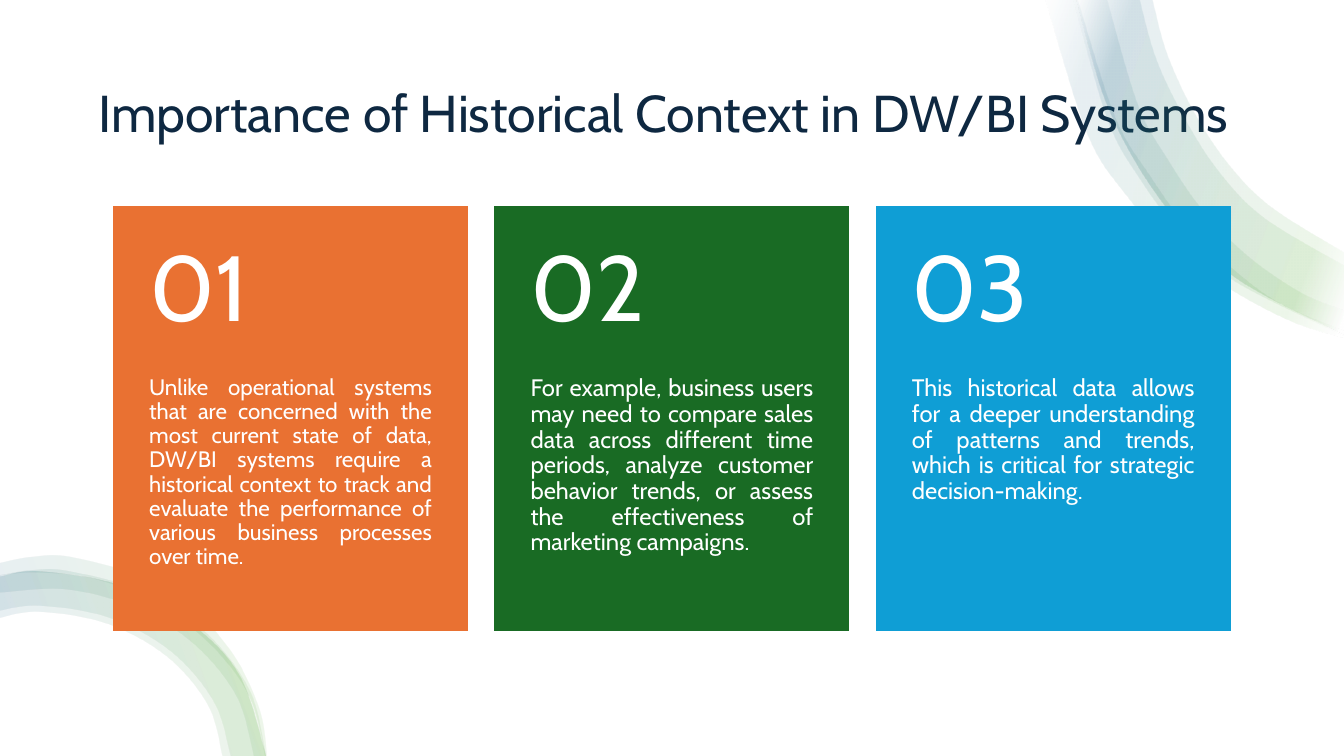
"""Build the slide on why historical context matters in DW/BI systems."""
from dataclasses import dataclass

from lxml import etree
from pptx import Presentation
from pptx.dml.color import RGBColor
from pptx.enum.shapes import MSO_SHAPE
from pptx.enum.text import MSO_ANCHOR, PP_ALIGN
from pptx.oxml.ns import qn
from pptx.shapes.autoshape import Shape
from pptx.slide import Slide
from pptx.util import Pt

RECTANGLE = MSO_SHAPE.RECTANGLE
TOP, MIDDLE = MSO_ANCHOR.TOP, MSO_ANCHOR.MIDDLE
LEFT, JUSTIFY = PP_ALIGN.LEFT, PP_ALIGN.JUSTIFY

Point = tuple[float, float]
Box = tuple[float, float, float, float]

SLIDE_WIDTH, SLIDE_HEIGHT = 960, 540
FONT = "Cabin"
WHITE, NAVY = "FFFFFF", "0E2841"

CARD_LEFT, CARD_TOP, CARD_PITCH = 81.6, 147.6, 272.4
CARD_WIDTH, CARD_HEIGHT, NUMBER_HEIGHT = 252, 302.4, 121

BAND_STOPS = ((2, WHITE), (16, "4EA72E"), (85, "156082"), (100, WHITE))
BAND_OPACITY = 10
TOP_ANGLE, BOTTOM_ANGLE = 200, 160
UNITS_PER_POINT = 100


@dataclass(frozen=True)
class Card:
    """A numbered reason with its colour and text size."""
    color: str
    size: float
    text: str


@dataclass(frozen=True)
class Band:
    """A translucent swoosh between two smooth edges."""
    angle: int
    outer: tuple[Point, ...]
    inner: tuple[Point, ...]


@dataclass(frozen=True)
class TextStyle:
    """Format of a text box; margins run left, top, right, bottom."""
    size: float
    color: str
    anchor: MSO_ANCHOR
    alignment: PP_ALIGN
    margins: Box


CARDS = (
    Card("E97132", 16, "Unlike operational systems that are concerned with the most current "
         "state of data, DW/BI systems require a historical context to track and evaluate "
         "the performance of various business processes over time."),
    Card("196B24", 17, "For example, business users may need to compare sales data across "
         "different time periods, analyze customer behavior trends, or assess the "
         "effectiveness of marketing campaigns."),
    Card("0F9ED5", 17, "This historical data allows for a deeper understanding of patterns "
         "and trends, which is critical for strategic decision-making."),
)

TOP_RIM = ((769, 0), (791.6, 77.3), (829.4, 143.7), (880.8, 197.4), (960, 239))
BOTTOM_RIM = ((0, 411.8), (28.8, 408.2), (84, 417.6), (133.3, 443.3), (170.2, 481.7),
              (189.4, 540))

BANDS = (
    Band(TOP_ANGLE,
         ((747, 0), (776.2, 94.3), (803.5, 138.2), (838.8, 176.4), (879.1, 206.6),
          (923, 229.7), (960, 241.2)),
         ((960, 236.2), (905, 211), (850.3, 163.4), (820.8, 124.6), (796.3, 82.8),
          (770, 0))),
    Band(TOP_ANGLE, TOP_RIM,
         ((960, 180.7), (908, 148.3), (877.7, 118.1), (853, 81), (833.8, 39.6), (823, 0))),
    Band(TOP_ANGLE,
         ((767, 0), (791.3, 85.7), (815, 128.9), (844.6, 167.8), (882, 201), (960, 239.8)),
         ((960, 221.8), (928.8, 208.8), (892.1, 183.6), (860.4, 151.9), (834.5, 114.5),
          (812.9, 74.9), (791, 0))),
    Band(TOP_ANGLE, TOP_RIM,
         ((960, 190), (903, 156), (871.2, 123.8), (846.5, 85.7), (825.8, 42.5), (814, 0))),
    Band(BOTTOM_ANGLE, BOTTOM_RIM,
         ((158.4, 540), (148.3, 504), (119.5, 469.4), (77, 445.7), (28.8, 437),
          (0, 441.4))),
    Band(BOTTOM_ANGLE, BOTTOM_RIM,
         ((164.2, 540), (152.6, 501.8), (122.4, 465.8), (78.5, 441.4), (28.8, 432.7),
          (0, 436.3))),
    Band(BOTTOM_ANGLE,
         ((0, 411.1), (22.3, 407.5), (49.7, 408.2), (102.2, 422.6), (146.2, 451.4),
          (177.8, 493.2), (189.4, 540)),
         ((180.7, 540), (168.5, 497.5), (138.2, 460.1), (96.5, 434.2), (48.2, 421.2),
          (0, 423.4))),
    Band(BOTTOM_ANGLE,
         ((0, 402.5), (22.3, 398.2), (51.1, 398.2), (106.6, 414), (141.1, 438.5),
          (167.8, 470.2), (185, 507.6), (190.1, 540)),
         ((188.6, 540), (180, 503.3), (162, 473.8), (133.9, 446.4), (100.1, 425.5),
          (62.6, 412.6), (23, 409), (0, 411.8))),
)


def rgb(color: str) -> RGBColor:
    """Turn a hex string into a colour."""
    return RGBColor.from_string(color)


def curve_edge(lines: list[etree._Element], knots: list[Point]) -> None:
    """Replace the straight segments between knots by Catmull-Rom curves."""
    padded = [knots[0], *knots, knots[-1]]
    for line, a, b, c, d in zip(lines, padded, padded[1:], padded[2:], padded[3:]):
        curve = etree.Element(qn("a:cubicBezTo"))
        leave = [q + (r - p) / 6 for p, q, r in zip(a, b, c)]
        reach = [r - (s - q) / 6 for q, r, s in zip(b, c, d)]
        for x, y in (leave, reach, c):
            etree.SubElement(curve, qn("a:pt"), x=str(round(x)), y=str(round(y)))
        line.getparent().replace(line, curve)


def fade(swoosh: Shape, angle: int) -> None:
    """Give a swoosh its translucent gradient."""
    swoosh.fill.background()
    no_fill = swoosh._element.spPr.find(qn("a:noFill"))
    gradient = etree.Element(qn("a:gradFill"), rotWithShape="1")
    stops = etree.SubElement(gradient, qn("a:gsLst"))
    for position, color in BAND_STOPS:
        stop = etree.SubElement(stops, qn("a:gs"), pos=str(position * 1000))
        tint = etree.SubElement(stop, qn("a:srgbClr"), val=color)
        etree.SubElement(tint, qn("a:alpha"), val=str(BAND_OPACITY * 1000))
    etree.SubElement(gradient, qn("a:lin"), ang=str(angle * 60000), scaled="0")
    no_fill.getparent().replace(no_fill, gradient)


def draw_band(slide: Slide, band: Band) -> None:
    """Draw one swoosh."""
    start, *rest = ((x * UNITS_PER_POINT, y * UNITS_PER_POINT)
                    for x, y in band.outer + band.inner)
    builder = slide.shapes.build_freeform(*start, scale=Pt(1) / UNITS_PER_POINT)
    builder.add_line_segments(rest, close=True)
    swoosh = builder.convert_to_shape()
    swoosh.shadow.inherit = False
    swoosh.line.fill.background()
    fade(swoosh, band.angle)
    lines = list(swoosh._element.iter(qn("a:lnTo")))
    knots = [(int(pt.get("x")), int(pt.get("y"))) for pt in swoosh._element.iter(qn("a:pt"))]
    turn = len(band.outer)
    curve_edge(lines[:turn - 1], knots[:turn])
    curve_edge(lines[turn:], knots[turn:])


def draw_panel(slide: Slide, box: Box, color: str, outlined: bool) -> None:
    """Draw a rectangle, with a sharp outline of its own colour if asked."""
    panel = slide.shapes.add_shape(RECTANGLE, *map(Pt, box))
    panel.shadow.inherit = False
    panel.fill.solid()
    panel.fill.fore_color.rgb = rgb(color)
    if not outlined:
        panel.line.fill.background()
        return
    panel.line.color.rgb = rgb(color)
    panel.line.width = Pt(1.5)
    etree.SubElement(panel._element.spPr.find(qn("a:ln")), qn("a:miter"), lim="800000")


def write(slide: Slide, box: Box, text: str, style: TextStyle) -> None:
    """Write one paragraph in a text box."""
    frame = slide.shapes.add_textbox(*map(Pt, box)).text_frame
    left, top, right, bottom = map(Pt, style.margins)
    paragraph = frame.paragraphs[0]
    run = paragraph.add_run()
    run.text = text
    formats = (
        (frame, {"word_wrap": True, "vertical_anchor": style.anchor, "margin_left": left,
                 "margin_top": top, "margin_right": right, "margin_bottom": bottom}),
        (paragraph, {"alignment": style.alignment, "line_spacing": 0.9}),
        (run.font, {"name": FONT, "size": Pt(style.size)}),
    )
    for target, values in formats:
        for attribute, value in values.items():
            setattr(target, attribute, value)
    run.font.color.rgb = rgb(style.color)


def draw_card(slide: Slide, index: int, card: Card) -> None:
    """Draw one numbered card in its column."""
    left = CARD_LEFT + index * CARD_PITCH
    body_top, body_height = CARD_TOP + NUMBER_HEIGHT, CARD_HEIGHT - NUMBER_HEIGHT
    draw_panel(slide, (left, CARD_TOP, CARD_WIDTH, CARD_HEIGHT), card.color, True)
    write(slide, (left, body_top, CARD_WIDTH, body_height), card.text,
          TextStyle(card.size, WHITE, TOP, JUSTIFY, (25, 0, 25, 26)))
    write(slide, (left, CARD_TOP, CARD_WIDTH, NUMBER_HEIGHT), f"{index + 1:02}",
          TextStyle(66, WHITE, MIDDLE, JUSTIFY, (25, 13, 25, 13)))


def main() -> None:
    """Build and save the slide."""
    deck = Presentation()
    deck.slide_width, deck.slide_height = Pt(SLIDE_WIDTH), Pt(SLIDE_HEIGHT)
    slide = deck.slides.add_slide(deck.slide_layouts[6])
    draw_panel(slide, (0, 0, SLIDE_WIDTH, SLIDE_HEIGHT), WHITE, False)
    write(slide, (63.4, 36, 833, 93.6), "Importance of Historical Context in DW/BI Systems",
          TextStyle(37, NAVY, MIDDLE, LEFT, (7.2, 3.6, 7.2, 3.6)))
    for band in BANDS:
        draw_band(slide, band)
    for index, card in enumerate(CARDS):
        draw_card(slide, index, card)
    deck.save("out.pptx")


if __name__ == "__main__":
    main()
